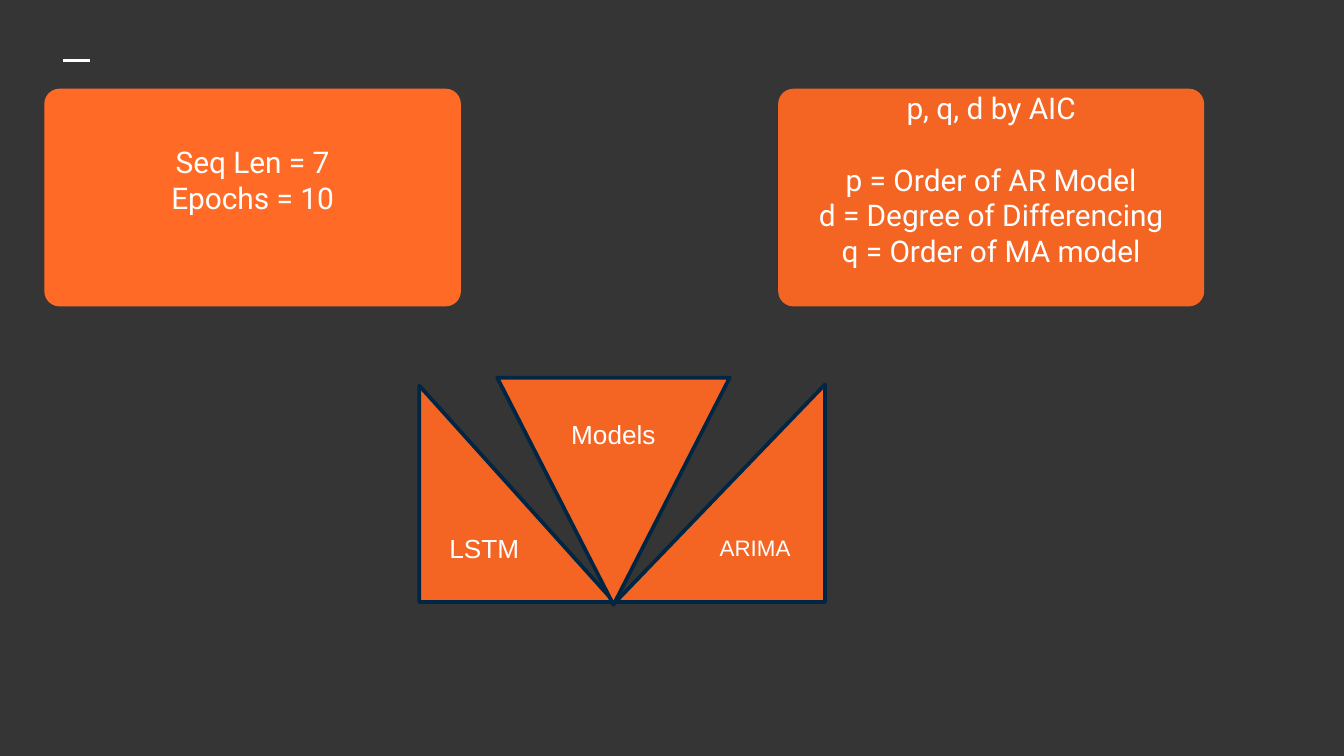
"""Build a slide comparing the settings of the LSTM and ARIMA models."""
from pptx import Presentation
from pptx.dml.color import RGBColor
from pptx.enum.shapes import MSO_CONNECTOR, MSO_SHAPE
from pptx.enum.text import MSO_ANCHOR, PP_ALIGN
from pptx.oxml.ns import qn
from pptx.util import Inches, Pt
from lxml import etree

STRAIGHT = MSO_CONNECTOR.STRAIGHT
CARD = MSO_SHAPE.ROUNDED_RECTANGLE
RIGHT_TRIANGLE = MSO_SHAPE.RIGHT_TRIANGLE
MERGE = MSO_SHAPE.FLOWCHART_MERGE
MIDDLE = MSO_ANCHOR.MIDDLE
CENTER = PP_ALIGN.CENTER

COLORS = {
    "background": "353535",
    "white": "FFFFFF",
    "bright": "FF6B26",
    "orange": "F46524",
    "navy": "002644",
}
SLIDE_WIDTH = 10
SLIDE_HEIGHT = SLIDE_WIDTH * 9 / 16
CARD_TOP, CARD_HEIGHT = 0.66, 1.62
CARD_INSET, LINE_HEIGHT = 0.06, 0.27
HEADING_GAP = 19

CARDS = [
    (0.33, 3.1, "bright", None, ["Seq Len = 7", "Epochs = 10"]),
    (5.79, 3.17, "orange", "p, q, d by AIC",
     ["p = Order of AR Model", "d = Degree of Differencing", "q = Order of MA model"]),
]
TRIANGLES = [
    ("LSTM", RIGHT_TRIANGLE, (3.12, 2.87, 1.45, 1.61), 14, False),
    ("ARIMA", RIGHT_TRIANGLE, (4.58, 2.86, 1.56, 1.62), 12, True),
    ("Models", MERGE, (3.7, 2.81, 1.73, 1.69), 14, False),
]


def rgb(name):
    return RGBColor.from_string(COLORS[name])


def add_block(slide, kind, box, fill, lines, font_name, size, inset):
    block = slide.shapes.add_shape(kind, *map(Inches, box))
    block.shadow.inherit = False
    block.fill.solid()
    block.fill.fore_color.rgb = rgb(fill)
    frame = block.text_frame
    frame.word_wrap = True
    frame.vertical_anchor = MIDDLE
    frame.margin_left = frame.margin_right = Inches(inset)
    frame.margin_top = frame.margin_bottom = Inches(inset)
    frame.text = "\n".join(lines)
    for paragraph in frame.paragraphs:
        paragraph.alignment = CENTER
        paragraph.font.name = font_name
        paragraph.font.size = Pt(size)
        paragraph.font.color.rgb = rgb("white")
    return block


def add_card(slide, left, width, fill, heading, settings):
    lines = [heading, *settings] if heading else settings
    box = (left, CARD_TOP, width, CARD_HEIGHT)
    card = add_block(slide, CARD, box, fill, lines, "Roboto", 16, CARD_INSET)
    card.adjustments[0] = 0.07
    card.line.fill.background()
    card.text_frame.margin_bottom = Inches(CARD_INSET + LINE_HEIGHT)
    if heading:
        card.text_frame.paragraphs[0].space_after = Pt(HEADING_GAP)


def add_triangle(slide, label, kind, box, size, mirrored):
    triangle = add_block(slide, kind, box, "orange", [label], "Arial", size, 0.05)
    triangle.line.color.rgb = rgb("navy")
    triangle.line.width = Pt(2)
    if mirrored:
        triangle._element.spPr.xfrm.set("flipH", "1")


def add_dash(slide):
    dash = slide.shapes.add_connector(
        STRAIGHT, Inches(0.47), Inches(0.45), Inches(0.67), Inches(0.45))
    dash.line.color.rgb = rgb("white")
    dash.line.width = Pt(1.5)
    etree.SubElement(dash._element.spPr, qn("a:effectLst"))


def main():
    deck = Presentation()
    deck.slide_width, deck.slide_height = Inches(SLIDE_WIDTH), Inches(SLIDE_HEIGHT)
    slide = deck.slides.add_slide(deck.slide_layouts[6])
    slide.background.fill.solid()
    slide.background.fill.fore_color.rgb = rgb("background")
    add_dash(slide)
    for card in CARDS:
        add_card(slide, *card)
    for triangle in TRIANGLES:
        add_triangle(slide, *triangle)
    deck.save("out.pptx")


if __name__ == "__main__":
    main()
